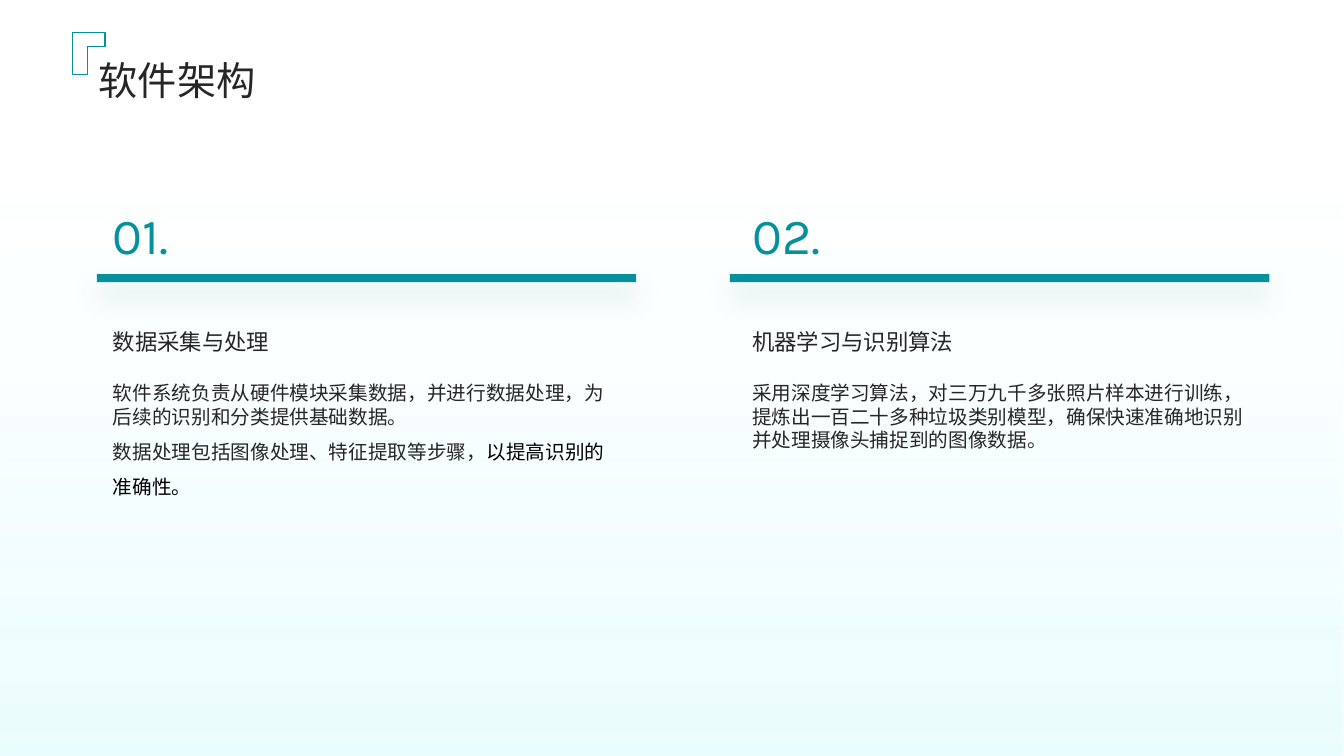
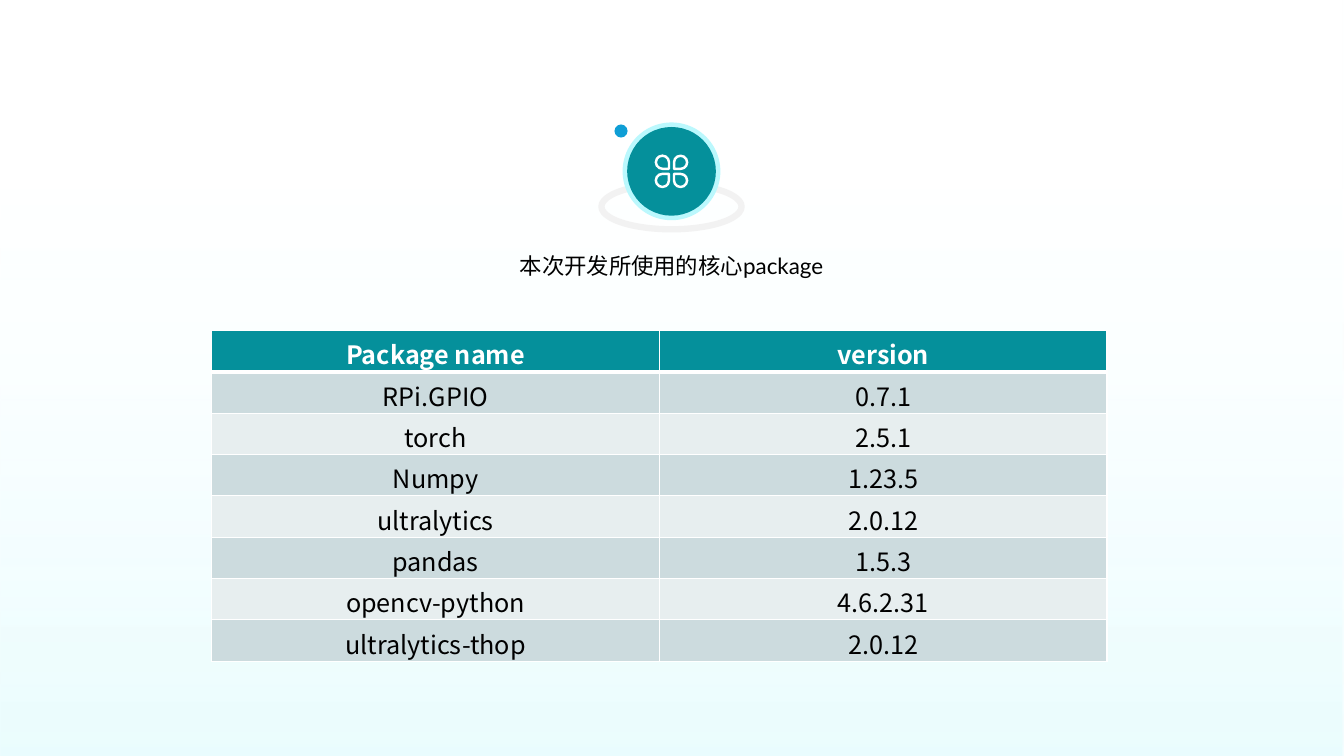
import typing
from dataclasses import dataclass

import lxml.etree as etree
import pptx
import pptx.dml.color
import pptx.enum.shapes
import pptx.enum.text
import pptx.oxml.ns
import pptx.util

Inches = pptx.util.Inches
Pt = pptx.util.Pt
Kind = pptx.enum.shapes.MSO_SHAPE
Align = pptx.enum.text.PP_ALIGN
Anchor = pptx.enum.text.MSO_ANCHOR
qn = pptx.oxml.ns.qn


@dataclass(frozen=True)
class Theme:
    teal: str = "05909B"
    shade: str = "046C74"
    pale: str = "BBF8FD"
    aqua: str = "77F1FB"
    blue: str = "0F9ED5"
    ring: str = "F2F2F2"
    ink: str = "262626"
    black: str = "000000"
    white: str = "FFFFFF"
    bands: tuple[str, str] = ("CCDBDE", "E7EEEF")
    cjk: str = "Noto Sans CJK SC"
    latin: str = "Lato"
    digit: str = "Karla"
    title: int = 28
    number: int = 36
    head: int = 16
    body: int = 14
    cell: int = 18


T = Theme()
WIDE, HIGH = 13.33, 7.5


class Run(typing.NamedTuple):
    text: str
    color: str = T.ink


class Para(typing.NamedTuple):
    runs: tuple[Run, ...]
    pitch: typing.Any = None  # a factor, or a fixed height


@dataclass(frozen=True)
class Topic:
    bar: float
    left: float
    number: str
    head: str
    body: tuple[Para, ...]


TIGHT, LOOSE = Pt(16.8), Pt(25)
TOPICS = (
    Topic(0.96, 1.12, "01.", "数据采集与处理", (
        Para((Run("软件系统负责从硬件模块采集数据，并进行数据处理，为后续的识别和分类提供基础数据。"),), TIGHT),
        Para((Run("数据处理包括图像处理、特征提取等步骤，"), Run("以提高识别的准确性。", T.black)), LOOSE),
    )),
    Topic(7.24, 7.46, "02.", "机器学习与识别算法", (
        Para((Run("采用深度学习算法，对三万九千多张照片样本进行训练，提炼出一百二十多种垃圾类别模型，"
                  "确保快速准确地识别并处理摄像头捕捉到的图像数据。"),), TIGHT),
    )),
)
ROWS = (
    ("Package name", "version"),
    ("RPi.GPIO", "0.7.1"),
    ("torch", "2.5.1"),
    ("Numpy", "1.23.5"),
    ("ultralytics", "2.0.12"),
    ("pandas", "1.5.3"),
    ("opencv-python", "4.6.2.31"),
    ("ultralytics-thop", "2.0.12"),
)


def rgb(color: str) -> pptx.dml.color.RGBColor:
    return pptx.dml.color.RGBColor.from_string(color)


def node(parent, tag: str, **attrs):
    return etree.SubElement(parent, qn(tag), {k: str(v) for k, v in attrs.items()})


# Text
def write(frame, paras: typing.Sequence[Para], *, size: int, font: str = T.cjk,
          bold: bool = False, align=Align.LEFT) -> None:
    for i, item in enumerate(paras):
        para = frame.paragraphs[0] if i == 0 else frame.add_paragraph()
        para.alignment = align
        if item.pitch:
            para.line_spacing = item.pitch
        for part in item.runs:
            run = para.add_run()
            run.text = part.text
            run.font.size, run.font.bold, run.font.name = Pt(size), bold, font
            run.font.color.rgb = rgb(part.color)
            node(run.font._element, "a:ea", typeface=T.cjk)


def label(slide, box: tuple, paras: typing.Sequence[Para], *, anchor=Anchor.TOP, **style) -> None:
    frame = slide.shapes.add_textbox(*map(Inches, box)).text_frame
    frame.word_wrap = True
    frame.vertical_anchor = anchor
    frame.margin_left = frame.margin_right = frame.margin_top = frame.margin_bottom = 0
    write(frame, paras, **style)


# Shapes
def paint(shape, fill: str | None = None, line: str | None = None, width: float = 1):
    shape.shadow.inherit = False
    if fill:
        shape.fill.solid()
        shape.fill.fore_color.rgb = rgb(fill)
    else:
        shape.fill.background()
    if line:
        shape.line.color.rgb = rgb(line)
        shape.line.width = Pt(width)
    else:
        shape.line.fill.background()
    return shape


def draw(slide, kind, box: tuple, **look):
    return paint(slide.shapes.add_shape(kind, *map(Inches, box)), **look)


def disc(slide, mid: tuple[float, float], wide: float, high: float, **look) -> None:
    draw(slide, Kind.OVAL, (mid[0] - wide / 2, mid[1] - high / 2, wide, high), **look)


def glow(shape) -> None:
    effects = shape._element.spPr.find(qn("a:effectLst"))
    shade = node(effects, "a:outerShdw", blurRad=Pt(20), dist=Pt(10),
                 dir=5400000, algn="t", rotWithShape=0)
    node(node(shade, "a:srgbClr", val=T.shade), "a:alpha", val=20000)


def start(deck):
    """Add a slide with the shared fading backdrop."""
    slide = deck.slides.add_slide(deck.slide_layouts[6])
    back = draw(slide, Kind.RECTANGLE, (0, 0, WIDE, HIGH), fill=T.pale)
    back.fill.gradient()
    back.fill.gradient_angle = 270
    stops = ((0.24, T.pale, 0), (1, T.aqua, 15))
    for stop, (place, color, alpha) in zip(back.fill.gradient_stops, stops):
        stop.position = place
        stop.color.rgb = rgb(color)
        node(stop._gs.find(qn("a:srgbClr")), "a:alpha", val=alpha * 1000)
    return slide


def title(slide, text: str) -> None:
    label(slide, (0.98, 0.51, 11.88, 0.51), [Para((Run(text),), 1.1)],
          size=T.title, anchor=Anchor.MIDDLE)
    pen = slide.shapes.build_freeform(Inches(0.72), Inches(0.32))
    corner = ((1.04, 0.32), (1.04, 0.46), (0.87, 0.46), (0.87, 0.74), (0.72, 0.74))
    pen.add_line_segments([(Inches(x), Inches(y)) for x, y in corner])
    paint(pen.convert_to_shape(), line=T.teal)


# Slide parts
def column(slide, topic: Topic) -> None:
    x, wide = topic.left, 4.92
    label(slide, (x, 2.02, wide, 0.62), [Para((Run(topic.number, T.teal),))],
          size=T.number, font=T.digit)
    glow(draw(slide, Kind.RECTANGLE, (topic.bar, 2.72, 5.35, 0.08), fill=T.teal))
    label(slide, (x, 2.99, wide, 0.72), [Para((Run(topic.head),), 1.3)],
          size=T.head, anchor=Anchor.MIDDLE)
    label(slide, (x, 3.78, wide, 2.11), topic.body, size=T.body)


def badge(slide) -> None:
    mid = x, y = 6.66, 1.7
    disc(slide, (x, 2.05), 1.39, 0.45, line=T.ring, width=4.5)
    disc(slide, mid, 0.97, 0.97, fill=T.pale)
    disc(slide, mid, 0.88, 0.88, fill=T.teal)
    # Four petals, each pointing at the centre
    size, gap = 0.13, 0.09
    for turn, (dx, dy) in enumerate(((-1, 1), (-1, -1), (1, -1), (1, 1))):
        box = (x + dx * gap - size / 2, y + dy * gap - size / 2, size, size)
        petal = draw(slide, Kind.TEAR, box, line=T.white, width=1.75)
        petal.rotation = turn * 90
    disc(slide, (6.16, 1.3), 0.13, 0.13, fill=T.blue)


def border(cell, top: float, bottom: float) -> None:
    props = cell._tc.get_or_add_tcPr()
    for side, width in (("L", 1), ("R", 1), ("T", top), ("B", bottom)):
        line = node(props, f"a:ln{side}", w=Pt(width))
        node(node(line, "a:solidFill"), "a:srgbClr", val=T.white)


def grid(slide) -> None:
    high = 0.41
    table = slide.shapes.add_table(len(ROWS), 2, Inches(2.1), Inches(3.28),
                                   Inches(8.88), Inches(high * len(ROWS))).table
    for r, row in enumerate(ROWS):
        table.rows[r].height = Inches(high)
        top = r == 0
        for c, text in enumerate(row):
            cell = table.cell(r, c)
            border(cell, 3 if r == 1 else 1, 3 if top else 1)
            cell.fill.solid()
            cell.fill.fore_color.rgb = rgb(T.teal if top else T.bands[(r - 1) % 2])
            write(cell.text_frame, [Para((Run(text, T.white if top else T.black),))],
                  size=T.cell, bold=top, align=Align.CENTER)


def main() -> None:
    deck = pptx.Presentation()
    deck.slide_width, deck.slide_height = Inches(WIDE), Inches(HIGH)

    # Software architecture
    slide = start(deck)
    for topic in TOPICS:
        column(slide, topic)
    title(slide, "软件架构")

    # Core packages
    slide = start(deck)
    label(slide, (1.69, 2.35, 9.94, 0.54),
          [Para((Run("本次开发所使用的核心package", T.black),), 1.1)],
          size=T.head, font=T.latin, align=Align.CENTER, anchor=Anchor.MIDDLE)
    badge(slide)
    grid(slide)

    deck.save("out.pptx")


if __name__ == "__main__":
    main()
